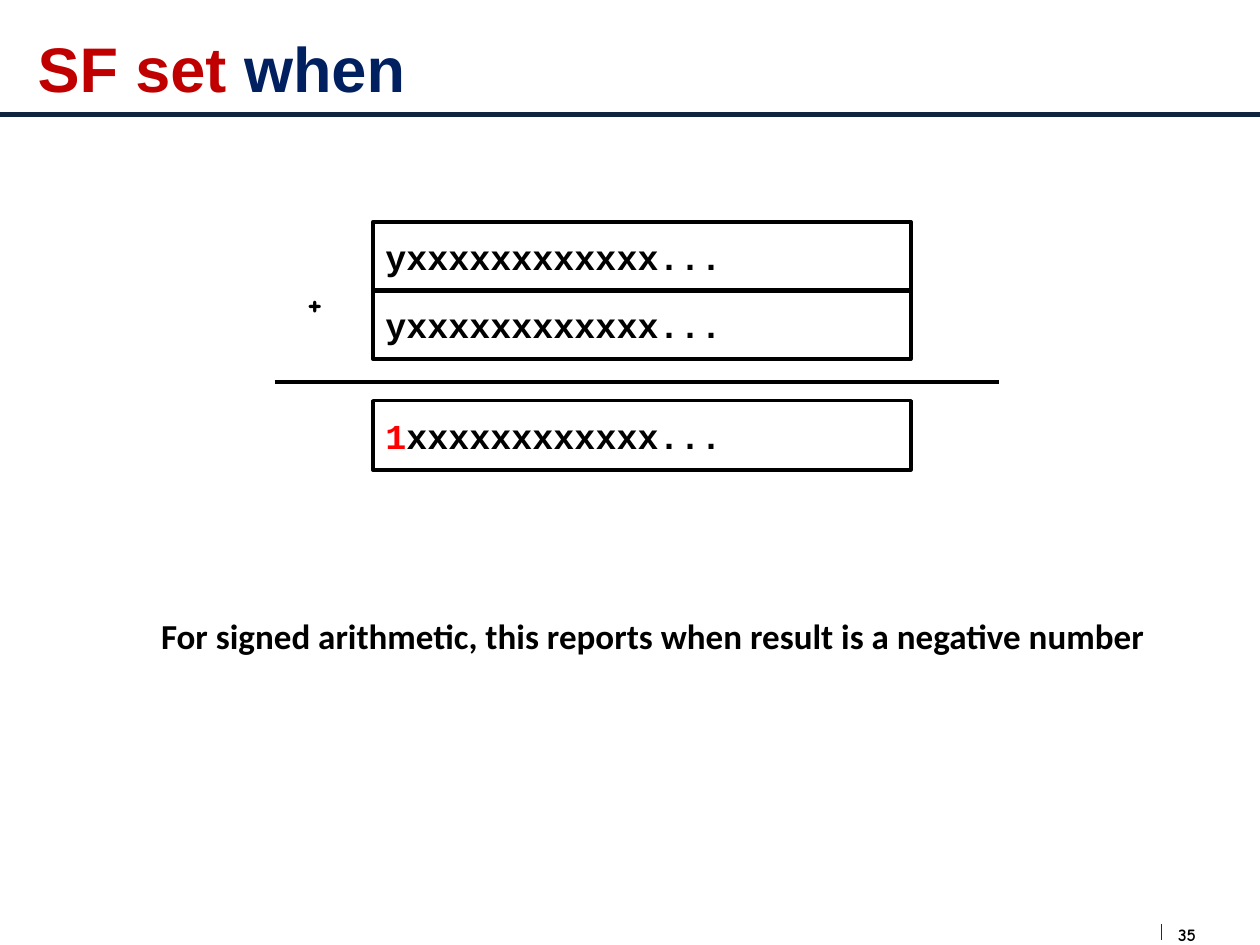
from lxml.etree import SubElement
from pptx import Presentation
from pptx.dml.color import RGBColor
from pptx.enum.shapes import MSO_CONNECTOR, MSO_SHAPE
from pptx.enum.text import MSO_ANCHOR, PP_ALIGN
from pptx.oxml.ns import qn
from pptx.util import Inches, Pt

COLORS = {"black": "000000", "red": "FF0000", "title_red": "C00000",
          "title_blue": "002060", "rule": "10253F", "divider": "172F37"}

# Content: runs are (text, color)
TITLE = [("SF set ", "title_red"), ("when", "title_blue")]
OPERAND = [("yxxxxxxxxxxxx...", "black")]
RESULT = [("1", "red"), ("xxxxxxxxxxxx...", "black")]
CAPTION = [("For signed arithmetic, this reports when result is a negative number", "black")]
PLUS = [("+", "black")]
PAGE_NUMBER = [("35", "black")]

# Registers: (top, runs)
REGISTERS = [(1.76, OPERAND), (2.30, OPERAND), (3.18, RESULT)]
REGISTER_LEFT, REGISTER_WIDTH, REGISTER_HEIGHT = 2.96, 4.27, 0.55

# Lines: (x1, y1, x2, y2, color, width)
LINES = [(0, 0.91, 10, 0.91, "rule", 3),
         (9.22, 7.33, 9.22, 7.46, "divider", 0.75),
         (2.18, 3.03, 7.93, 3.03, "black", 2)]

# Text boxes: (left, top, width, height, runs, font, size, anchor, inset, wrap)
TOP, MIDDLE = MSO_ANCHOR.TOP, MSO_ANCHOR.MIDDLE
LABELS = [(0.2, 0, 9.53, 1.07, TITLE, "Arial", 36, MIDDLE, (0.1, 0.05), True),
          (9.35, 7.33, 0.34, 0.17, PAGE_NUMBER, "Comic Neue", 10, TOP, (0, 0), True),
          (2.34, 2.18, 0.5, 0.44, PLUS, "Comic Neue", 20, TOP, (0.1, 0.05), True),
          (1.18, 4.83, 8.03, 0.44, CAPTION, "Calibri", 20, TOP, (0.1, 0.05), False)]


def color(name):
    return RGBColor.from_string(COLORS[name])


def write(shape, runs, font, size, anchor, inset, wrap=True):
    frame = shape.text_frame
    frame.word_wrap = wrap
    frame.vertical_anchor = anchor
    frame.margin_left = frame.margin_right = Inches(inset[0])
    frame.margin_top = frame.margin_bottom = Inches(inset[1])
    paragraph = frame.paragraphs[0]
    paragraph.alignment = PP_ALIGN.LEFT
    paragraph.font.name = font
    paragraph.font.size = Pt(size)
    paragraph.font.bold = True
    for text, name in runs:
        run = paragraph.add_run()
        run.text = text
        run.font.color.rgb = color(name)


def add_line(slide, x1, y1, x2, y2, name, width):
    line = slide.shapes.add_connector(
        MSO_CONNECTOR.STRAIGHT, Inches(x1), Inches(y1), Inches(x2), Inches(y2))
    line.line.color.rgb = color(name)
    line.line.width = Pt(width)
    SubElement(line._element.spPr, qn("a:effectLst"))


def add_register(slide, top, runs):
    box = slide.shapes.add_shape(
        MSO_SHAPE.RECTANGLE, Inches(REGISTER_LEFT), Inches(top),
        Inches(REGISTER_WIDTH), Inches(REGISTER_HEIGHT))
    box.shadow.inherit = False
    box.fill.background()
    box.line.color.rgb = color("black")
    box.line.width = Pt(2)
    write(box, runs, "Courier New", 20, MIDDLE, (0.1, 0.05))


def main():
    presentation = Presentation()
    presentation.slide_width, presentation.slide_height = Inches(10), Inches(7.5)
    slide = presentation.slides.add_slide(presentation.slide_layouts[6])

    # Title rule, page divider and sum line
    for line in LINES:
        add_line(slide, *line)

    # Operands and result
    for top, runs in REGISTERS:
        add_register(slide, top, runs)

    # Title, page number, plus sign and caption
    for left, top, width, height, *text in LABELS:
        label = slide.shapes.add_textbox(
            Inches(left), Inches(top), Inches(width), Inches(height))
        write(label, *text)

    presentation.save("out.pptx")


if __name__ == "__main__":
    main()
